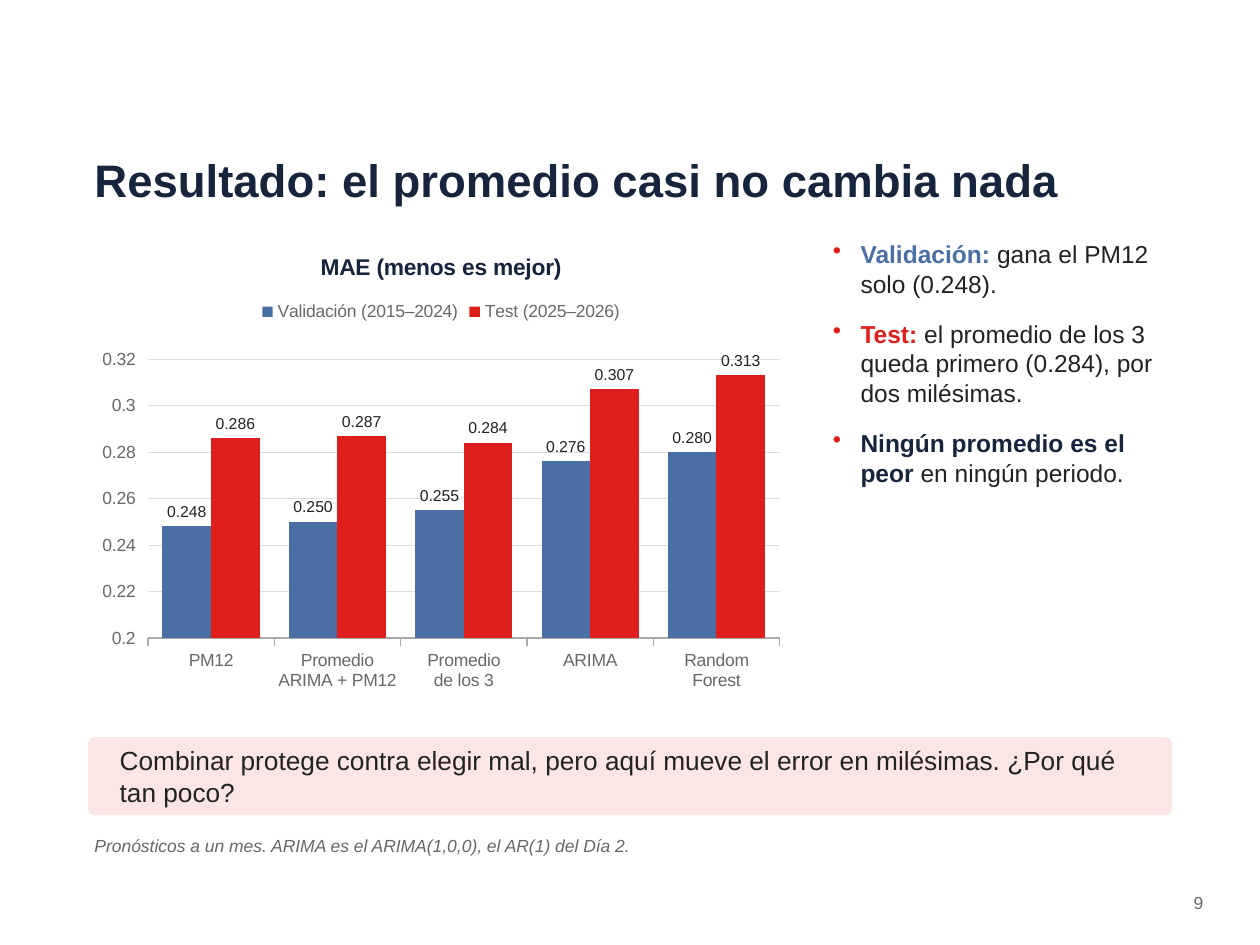
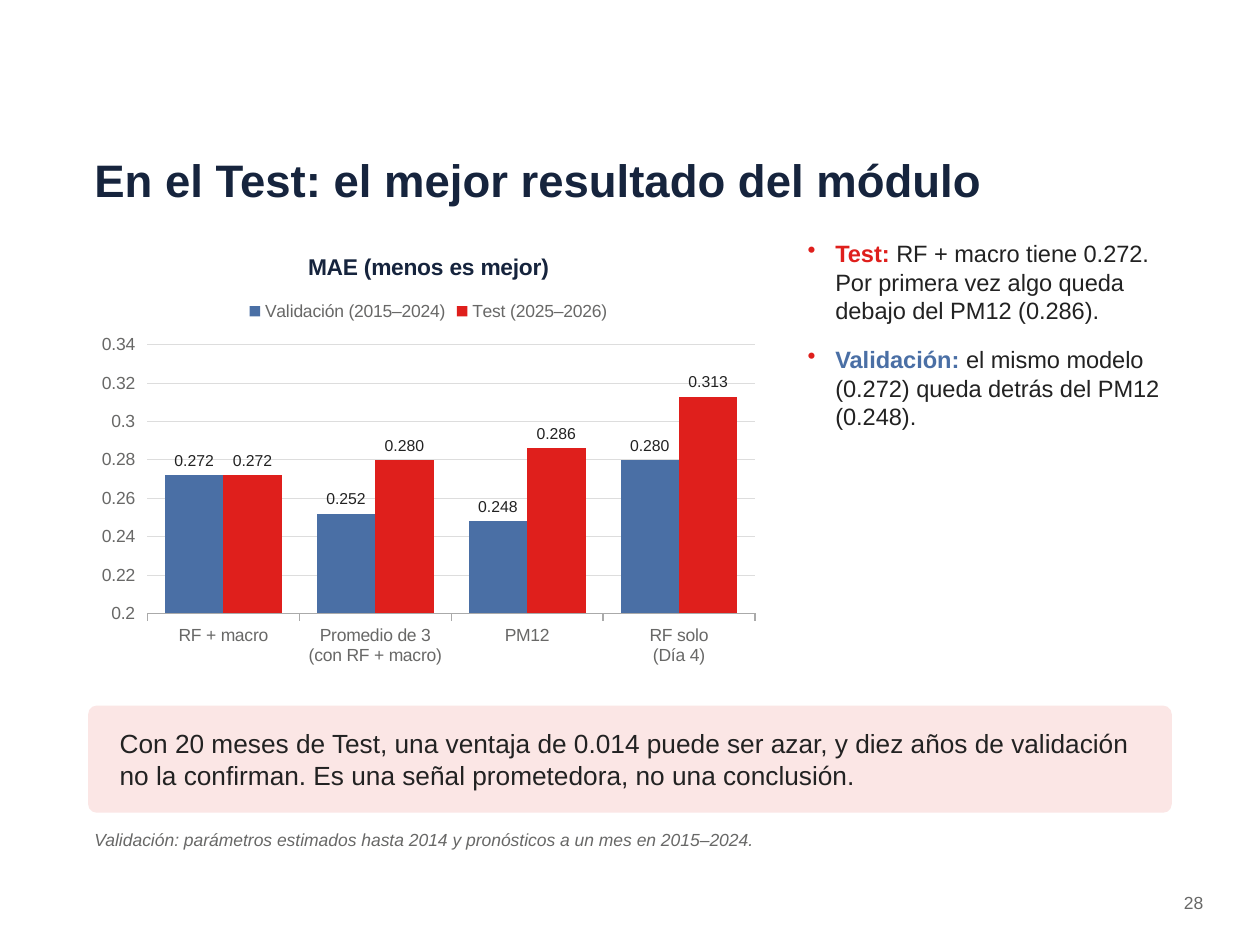
"""Build two slides that compare forecast errors (MAE) with a column chart."""
from lxml.etree import SubElement
from pptx import Presentation
from pptx.chart.data import CategoryChartData
from pptx.dml.color import RGBColor
from pptx.enum.chart import XL_CHART_TYPE as CT, XL_LABEL_POSITION as LP
from pptx.enum.chart import XL_LEGEND_POSITION as LG, XL_TICK_LABEL_POSITION as TL
from pptx.enum.shapes import MSO_SHAPE as SHAPE
from pptx.enum.text import MSO_ANCHOR as ANCHOR, MSO_AUTO_SIZE as FIT, PP_ALIGN as AL
from pptx.oxml.ns import qn
from pptx.util import Pt

NAVY, BLUE, RED, PINK = "16243D", "4A6FA5", "DF1F1C", "FBE6E5"
INK, GREY, AXIS, GRID = "222222", "686867", "AAAAAA", "DDDDDD"
LEFT, WIDTH, TOP, GAP = 50.4, 619.2, 133.2, 14.4

TITLE = {"size": 26, "color": NAVY, "bold": True}
CHART_TITLE = {"size": 13, "color": NAVY, "bold": True}
SMALL = {"size": 10, "color": GREY}
NOTE = {**SMALL, "italic": True}
LABEL = {"size": 9, "color": INK}
CALLOUT = {"size": 15, "color": INK}

SERIES = [("Validación (2015–2024)", BLUE), ("Test (2025–2026)", RED)]

SLIDES = [
    {
        "title": "Resultado: el promedio casi no cambia nada",
        "page": "9",
        "chart_size": (403.2, 266.4),
        "axis_max": 0.33,
        "mae": [
            ("PM12", 0.248, 0.286),
            ("Promedio\nARIMA + PM12", 0.250, 0.287),
            ("Promedio\nde los 3", 0.255, 0.284),
            ("ARIMA", 0.276, 0.307),
            ("Random\nForest", 0.280, 0.313),
        ],
        "bullet_size": 14,
        "bullets": [
            ("Validación: ", BLUE, "gana el PM12 solo (0.248)."),
            ("Test: ", RED, "el promedio de los 3 queda primero (0.284), por dos milésimas."),
            ("Ningún promedio es el peor ", NAVY, "en ningún periodo."),
        ],
        "callout": "Combinar protege contra elegir mal, pero aquí mueve el error en "
                   "milésimas. ¿Por qué tan poco?",
        "callout_span": (421.2, 44.64),
        "note": "Pronósticos a un mes. ARIMA es el ARIMA(1,0,0), el AR(1) del Día 2.",
        "note_top": 475.2,
    },
    {
        "title": "En el Test: el mejor resultado del módulo",
        "page": "28",
        "chart_size": (388.8, 252),
        "axis_max": 0.34,
        "mae": [
            ("RF + macro", 0.272, 0.272),
            ("Promedio de 3\n(con RF + macro)", 0.252, 0.280),
            ("PM12", 0.248, 0.286),
            ("RF solo\n(Día 4)", 0.280, 0.313),
        ],
        "bullet_size": 13.5,
        "bullets": [
            ("Test: ", RED, "RF + macro tiene 0.272. Por primera vez algo queda debajo "
                            "del PM12 (0.286)."),
            ("Validación: ", BLUE, "el mismo modelo (0.272) queda detrás del PM12 (0.248)."),
        ],
        "callout": "Con 20 meses de Test, una ventaja de 0.014 puede ser azar, y diez años "
                   "de validación no la confirman. Es una señal prometedora, no una conclusión.",
        "callout_span": (403.2, 61.2),
        "note": "Validación: parámetros estimados hasta 2014 y pronósticos a un mes en 2015–2024.",
        "note_top": 471.6,
    },
]


def rgb(color):
    return RGBColor.from_string(color)


def paint(fill, color):
    fill.solid()
    fill.fore_color.rgb = rgb(color)


def style(font, size, color, **flags):
    font.name, font.size, font.color.rgb = "Arial", Pt(size), rgb(color)
    for name, value in flags.items():
        setattr(font, name, value)


def add_frame(s, box, inset=2.16, anchor=ANCHOR.TOP):
    tf = s.shapes.add_textbox(*map(Pt, box)).text_frame
    fmt = {"word_wrap": True, "auto_size": FIT.SHAPE_TO_FIT_TEXT, "vertical_anchor": anchor,
           "margin_left": Pt(3.6), "margin_right": Pt(3.6),
           "margin_top": Pt(inset), "margin_bottom": Pt(inset)}
    for name, value in fmt.items():
        setattr(tf, name, value)
    return tf


def add_run(p, text, **font):
    r = p.add_run()
    r.text = text
    style(r.font, **font)


def add_line(s, box, text, font, anchor=ANCHOR.TOP, align=AL.LEFT):
    p = add_frame(s, box, anchor=anchor).paragraphs[0]
    p.alignment, p.space_after = align, Pt(4)
    add_run(p, text, **font)


def add_bullets(s, box, bullets, size):
    tf = add_frame(s, box, inset=3.6)
    for i, (lead, color, rest) in enumerate(bullets):
        p = tf.add_paragraph() if i else tf.paragraphs[0]
        p.space_after = Pt(12)
        pPr = p._p.get_or_add_pPr()
        pPr.set("marL", str(Pt(20.16)))
        pPr.set("indent", str(-Pt(15.84)))
        SubElement(SubElement(pPr, qn("a:buClr")), qn("a:srgbClr"), val=RED)
        SubElement(pPr, qn("a:buChar"), char="•")
        add_run(p, lead, size=size, color=color, bold=True)
        add_run(p, rest, size=size, color=INK, bold=False)


def add_mae_chart(s, box, mae, axis_max):
    names, *columns = zip(*mae)
    data = CategoryChartData()
    data.categories = names
    for (name, _), values in zip(SERIES, columns):
        data.add_series(name, values)
    chart = s.shapes.add_chart(CT.COLUMN_CLUSTERED, *map(Pt, box), data).chart
    style(chart.font, 10, "000000")

    p = chart.chart_title.text_frame.paragraphs[0]
    add_run(p, "MAE (menos es mejor)", **CHART_TITLE)
    chart.has_legend = True
    chart.legend.position, chart.legend.include_in_layout = LG.TOP, False

    cat, val = chart.category_axis, chart.value_axis
    for part in (chart.legend.font, cat.tick_labels.font, val.tick_labels.font):
        style(part, **SMALL)
    cat.tick_label_position = TL.LOW
    val.minimum_scale, val.maximum_scale = 0.2, axis_max
    val.format.line.fill.background()
    for line, color, width in ((cat.format.line, AXIS, 0.75),
                               (val.major_gridlines.format.line, GRID, 0.5)):
        line.color.rgb, line.width = rgb(color), Pt(width)

    plot = chart.plots[0]
    plot.gap_width, plot.overlap, plot.vary_by_categories = 60, 0, False
    for series, (_, color) in zip(plot.series, SERIES):
        paint(series.format.fill, color)
        labels = series.data_labels
        fmt = {"show_value": True, "position": LP.OUTSIDE_END,
               "number_format": "0.000", "number_format_is_linked": False}
        for name, value in fmt.items():
            setattr(labels, name, value)
        style(labels.font, **LABEL)


def add_callout(s, text, top, height):
    sp = s.shapes.add_shape(SHAPE.ROUNDED_RECTANGLE, *map(Pt, (LEFT, top, WIDTH, height)))
    sp.adjustments[0] = 0.08
    sp.shadow.inherit = False
    paint(sp.fill, PINK)
    sp.line.fill.background()
    add_line(s, (LEFT + GAP, top, WIDTH - 2 * GAP, height), text, CALLOUT, ANCHOR.MIDDLE)


def build_slide(prs, d):
    s = prs.slides.add_slide(prs.slide_layouts[6])
    add_line(s, (LEFT, 75.6, WIDTH, 54), d["title"], TITLE, ANCHOR.MIDDLE)
    add_line(s, (648, 507.6, 43.2, 21.6), d["page"], SMALL, align=AL.RIGHT)
    width, height = d["chart_size"]
    add_mae_chart(s, (LEFT, TOP, width, height), d["mae"], d["axis_max"])
    bullets_box = (LEFT + width + GAP, TOP, WIDTH - width - GAP, height - GAP / 2)
    add_bullets(s, bullets_box, d["bullets"], d["bullet_size"])
    add_callout(s, d["callout"], *d["callout_span"])
    add_line(s, (LEFT, d["note_top"], WIDTH, 21.6), d["note"], NOTE)


def main():
    prs = Presentation()
    prs.slide_width, prs.slide_height = Pt(720), Pt(540)
    for d in SLIDES:
        build_slide(prs, d)
    prs.save("out.pptx")


if __name__ == "__main__":
    main()
